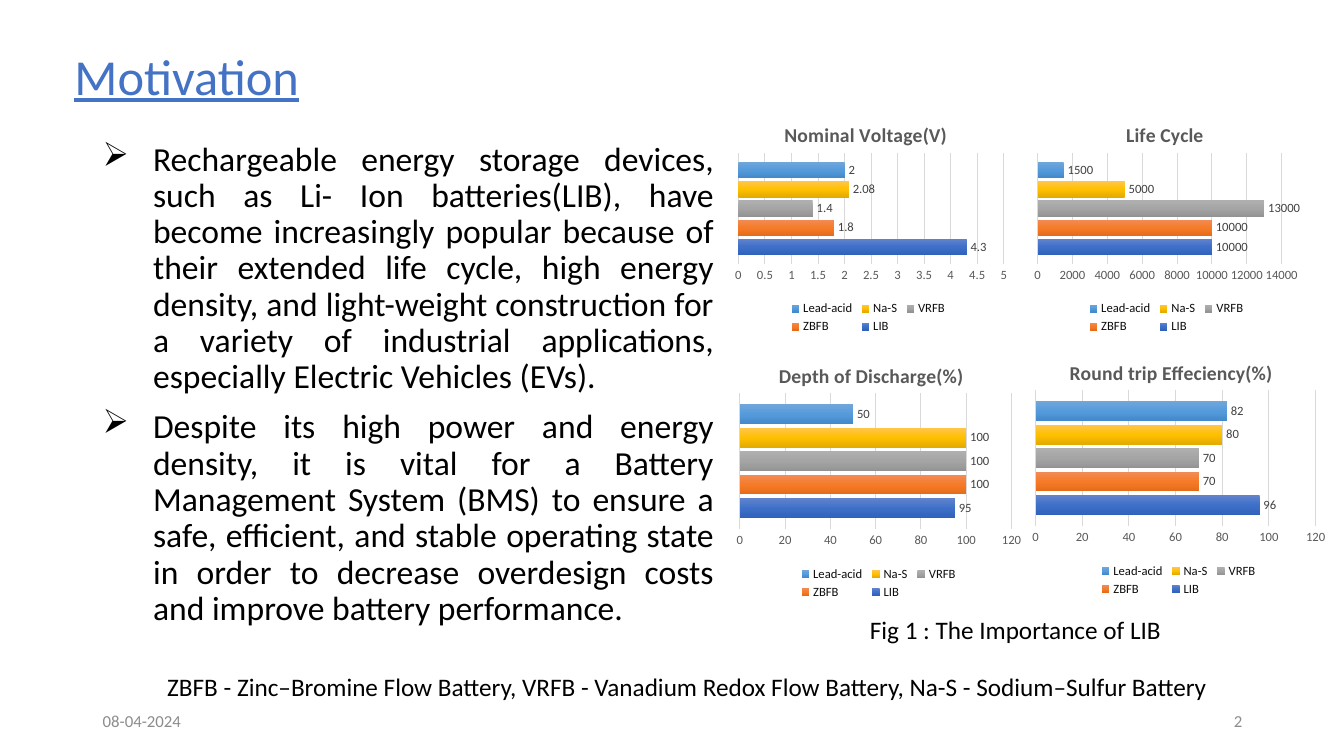
from pptx import Presentation
from pptx import util as u
from pptx.chart.data import CategoryChartData
from pptx.dml.color import RGBColor
from pptx.enum import chart as ch, text as tx
from pptx.oxml import parse_xml
from pptx.oxml.ns import nsdecls, qn

FONT = "Calibri"
rgb = RGBColor.from_string

deck = Presentation()
deck.slide_width, deck.slide_height = u.Inches(13.33), u.Inches(7.5)
slide = deck.slides.add_slide(deck.slide_layouts[6])


def write(lines, box, size, color="000000", align="LEFT", anchor="TOP",
          under=None, bullet=None, space=None):
    """Add a text box with one paragraph for each line."""
    frame = slide.shapes.add_textbox(*map(u.Inches, box)).text_frame
    frame.word_wrap = True
    frame.vertical_anchor = getattr(tx.MSO_ANCHOR, anchor)
    for i, line in enumerate(lines):
        para = frame.paragraphs[0] if i == 0 else frame.add_paragraph()
        para.alignment = getattr(tx.PP_ALIGN, align)
        para.line_spacing = space
        if bullet:
            props = para._p.get_or_add_pPr()
            props.set("marL", str(u.Inches(0.5)))
            props.set("indent", str(u.Inches(-0.5)))
            props.append(parse_xml(f'<a:buChar {nsdecls("a")} char="{bullet}"/>'))
            if i:
                para.space_before = u.Pt(10)
        run = para.add_run()
        run.text = line
        run.font.name, run.font.size = FONT, u.Pt(size)
        run.font.underline = under
        run.font.color.rgb = rgb(color)


write(["Motivation"], (0.64, 0.32, 2.72, 0.78), 36, color="4472C4",
      anchor="BOTTOM", under=True, space=0.9)
write([
    "Rechargeable energy storage devices, such as Li- Ion batteries(LIB), have "
    "become increasingly popular because of their extended life cycle, high "
    "energy density, and light-weight construction for a variety of industrial "
    "applications, especially Electric Vehicles (EVs).",
    "Despite its high power and energy density, it is vital for a Battery "
    "Management System (BMS) to ensure a safe, efficient, and stable operating "
    "state in order to decrease overdesign costs and improve battery performance.",
], (0.92, 1.36, 6.26, 5.07), 24, align="JUSTIFY", bullet="➢", space=0.9)
write(["08-04-2024"], (0.92, 6.95, 3, 0.4), 12, color="8C8C8C", anchor="MIDDLE")
write(["2"], (9.42, 6.95, 3, 0.4), 12, color="8C8C8C", align="RIGHT", anchor="MIDDLE")
write(["Fig 1 : The Importance of LIB"], (8.53, 6.05, 4.4, 0.4), 18)
write(["ZBFB - Zinc–Bromine Flow Battery, VRFB - Vanadium Redox Flow Battery, "
       "Na-S - Sodium–Sulfur Battery"], (1.56, 6.61, 10.85, 0.4), 18)

# Each battery has a gradient from top to bottom of its bar
cells = {
    "LIB": ("6183CB", "3E70CA", "3062BB"),
    "ZBFB": ("F18C57", "F67B28", "E56C19"),
    "VRFB": ("AFAFAF", "A5A5A5", "939393"),
    "Na-S": ("FFC64B", "FFC000", "E3AB00"),
    "Lead-acid": ("71A6DB", "559BDB", "448ACA"),
}

# Title, box, values, axis maximum and step,
# then title, plot and legend places as shares of the chart
charts = [
    ("Nominal Voltage(V)", (7.24, 1, 2.8, 2.35), (4.3, 1.8, 1.4, 2.08, 2), 5, 0.5,
     (0.18, 0.07), (0.03, 0.22, 0.94, 0.47), (0.2, 0.83, 0.58, 0.17)),
    ("Life Cycle", (10.21, 1, 2.72, 2.35), (10000, 10000, 13000, 5000, 1500), 14000, 2000,
     (0.34, 0.07), (0.03, 0.22, 0.89, 0.47), (0.2, 0.83, 0.6, 0.17)),
    ("Depth of Discharge(%)", (7.25, 3.38, 2.93, 2.6), (95, 100, 100, 100, 50), 120, 20,
     (0.15, 0.07), (0.03, 0.2, 0.92, 0.52), (0.22, 0.85, 0.56, 0.15)),
    ("Round trip Effeciency(%)", (10.18, 3.35, 3.02, 2.6), (96, 70, 70, 80, 82), 120, 20,
     (0.13, 0.07), (0.03, 0.2, 0.92, 0.52), (0.23, 0.85, 0.54, 0.15)),
]

for name, box, vals, top, step, head, area, keys in charts:
    data = CategoryChartData()
    data.categories = ["1"]
    for cell, val in zip(cells, vals):
        data.add_series(cell, [val])
    chart = slide.shapes.add_chart(
        ch.XL_CHART_TYPE.BAR_CLUSTERED, *map(u.Inches, box), data).chart
    chart.font.name, chart.font.size = FONT, u.Pt(10)

    chart.has_title = True
    para = chart.chart_title.text_frame.paragraphs[0]
    run = para.add_run()
    run.text = name
    run.font.name, run.font.size, run.font.bold = FONT, u.Pt(14), True
    run.font.color.rgb = rgb("595959")

    chart.category_axis.visible = False
    axis = chart.value_axis
    axis.minimum_scale, axis.maximum_scale, axis.major_unit = 0, top, step
    axis.major_tick_mark = ch.XL_TICK_MARK.NONE
    axis.format.line.fill.background()
    grid = axis.major_gridlines.format.line
    grid.color.rgb, grid.width = rgb("D9D9D9"), u.Pt(0.75)

    chart.has_legend = True
    legend = chart.legend
    legend.position = ch.XL_LEGEND_POSITION.BOTTOM
    legend.include_in_layout = False

    plot = chart.plots[0]
    plot.gap_width, plot.overlap, plot.vary_by_categories = 115, -20, False
    plot.has_data_labels = True
    labels = plot.data_labels
    labels.show_value = True
    labels.position = ch.XL_LABEL_POSITION.OUTSIDE_END
    for font, color in ((axis.tick_labels.font, "595959"),
                        (legend.font, "0D0D0D"), (labels.font, "404040")):
        font.name, font.size = FONT, u.Pt(9)
        font.color.rgb = rgb(color)

    for bar, shades in zip(plot.series, cells.values()):
        stops = "".join(f'<a:gs pos="{i * 50000}"><a:srgbClr val="{shade}"/></a:gs>'
                        for i, shade in enumerate(shades))
        bar._element.get_or_add_spPr().append(parse_xml(
            f'<a:gradFill {nsdecls("a")}><a:gsLst>{stops}</a:gsLst>'
            '<a:lin ang="5400000" scaled="0"/></a:gradFill>'))

    room = chart._chartSpace.chart.plotArea
    for part, spot, place in ((chart.chart_title._element, 1, head),
                              (room, 0, area), (legend._element, 1, keys)):
        for old in part.findall(qn("c:layout")):
            part.remove(old)
        inner = '<c:layoutTarget val="inner"/>' if part is room else ""
        modes = '<c:xMode val="edge"/><c:yMode val="edge"/>'
        sides = "".join(f'<c:{side} val="{share}"/>' for side, share in zip("xywh", place))
        part.insert(spot, parse_xml(
            f'<c:layout {nsdecls("c")}><c:manualLayout>{inner}{modes}{sides}'
            '</c:manualLayout></c:layout>'))

deck.save("out.pptx")
